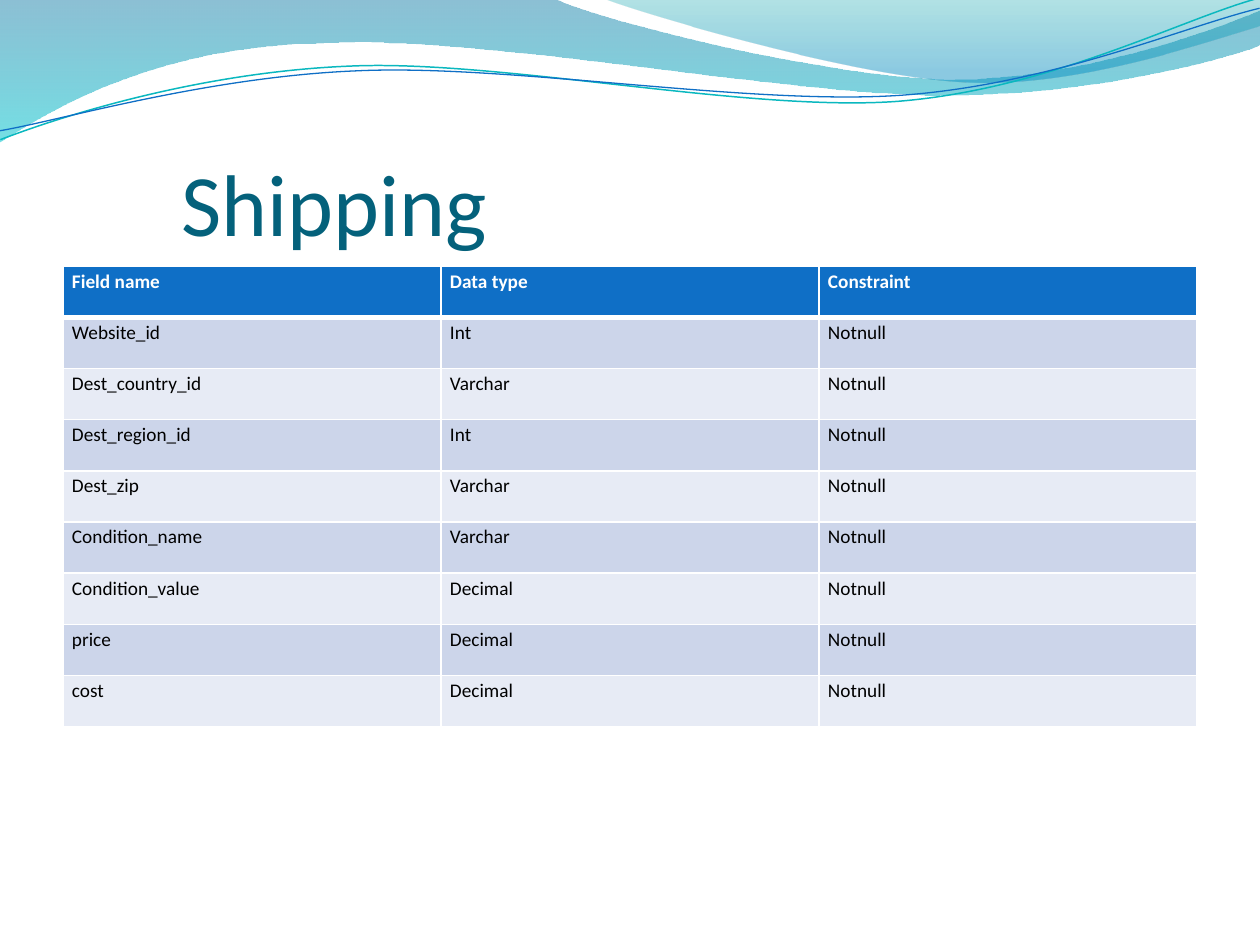
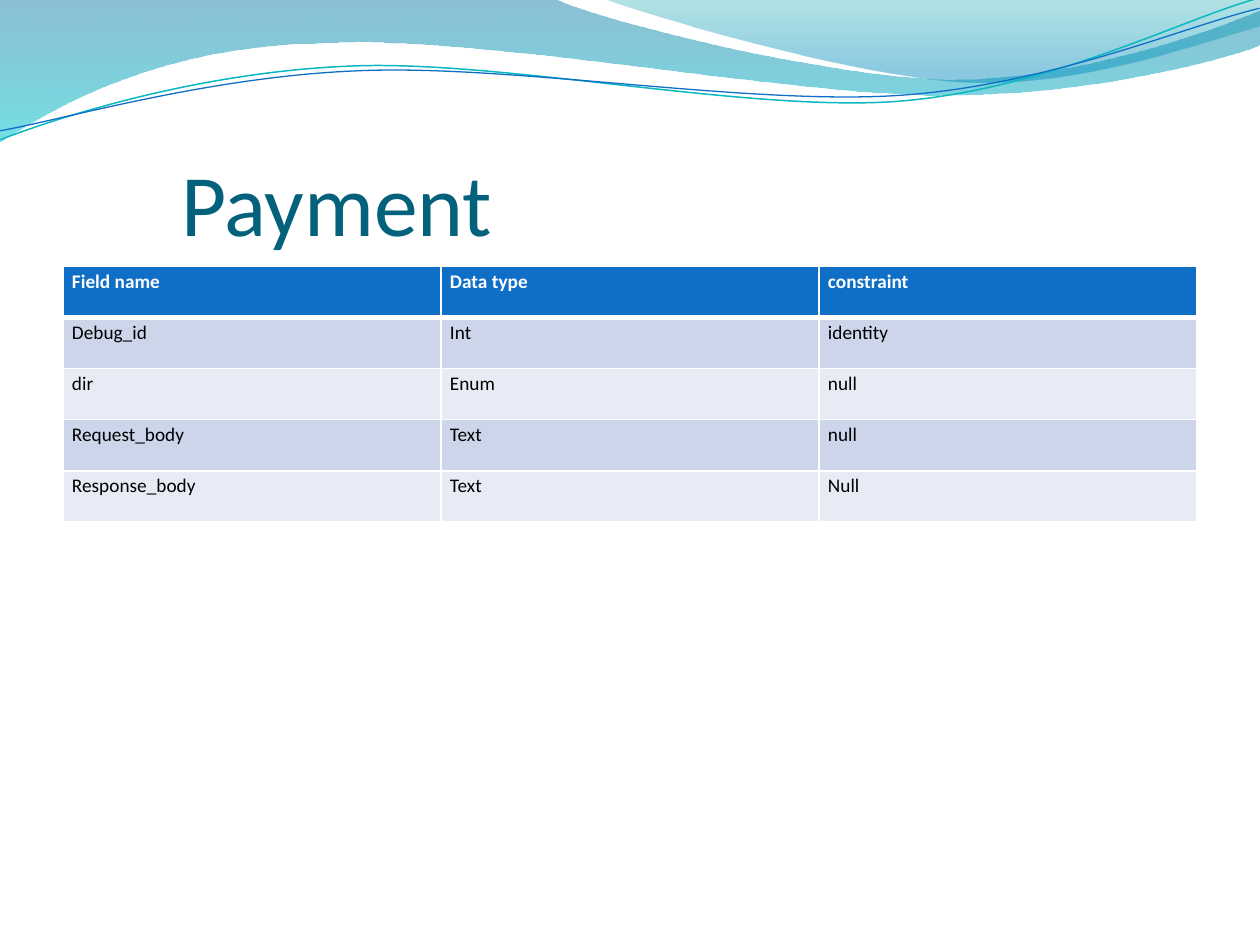
"""Build two table slides that share a wave band."""
import pptx
import pptx.dml.color
import pptx.enum.text
import pptx.oxml.ns
import pptx.util
from lxml import etree

RGB = pptx.dml.color.RGBColor
WHITE = RGB(0xFF, 0xFF, 0xFF)
BLACK = RGB(0x00, 0x00, 0x00)
BLUE = RGB(0x0F, 0x6F, 0xC6)
TEAL = RGB(0x0A, 0xB8, 0xBF)
NAVY = RGB(0x04, 0x61, 0x7B)
DARK = RGB(0xCC, 0xD5, 0xEA)
PALE = RGB(0xE7, 0xEB, 0xF5)

WAVE = [[(0, 0)], [(555, -1)],
        [(600, 21), (837, 79), (955, 79)],
        [(1075, 79), (1207, 33), (1260, 11)],
        [(1261, 45)],
        [(1239, 55), (1096, 96), (940, 95)],
        [(784, 95), (481, 35), (324, 43)],
        [(163, 45), (58, 105), (-1, 142)],
        [(0, 0)]]
SWOOP = [[(604, -1)],
         [(641, 14), (859, 78), (969, 82)],
         [(1079, 87), (1211, 40), (1260, 26)],
         [(1260, 0)], [(604, -1)]]
UPPER = [[(-2, 110)],
         [(58, 90), (199, 52), (350, 53)],
         [(499, 53), (745, 118), (896, 114)],
         [(1049, 109), (1184, 45), (1261, 28)]]
LOWER = [[(-2, 101)],
         [(57, 94), (207, 57), (357, 58)],
         [(509, 58), (750, 112), (902, 108)],
         [(1052, 104), (1188, 52), (1262, 38)]]
TILT = 357.3

WAVE_FILL = [(0, RGB(0x00, 0x74, 0xA1), 45), (1, RGB(0x00, 0xC6, 0xCF), 55)]
SWOOP_FILL = [(0, RGB(0x00, 0xA1, 0xA9), 30), (0.8, RGB(0x00, 0x8B, 0xBF), 45)]

SHIPPING = [
    ("Field name", "Data type", "Constraint"),
    ("Website_id", "Int", "Notnull"),
    ("Dest_country_id", "Varchar", "Notnull"),
    ("Dest_region_id", "Int", "Notnull"),
    ("Dest_zip", "Varchar", "Notnull"),
    ("Condition_name", "Varchar", "Notnull"),
    ("Condition_value", "Decimal", "Notnull"),
    ("price", "Decimal", "Notnull"),
    ("cost", "Decimal", "Notnull"),
]
PAYMENT = [
    ("Field name", "Data type", "constraint"),
    ("Debug_id", "Int", "identity"),
    ("dir", "Enum", "null"),
    ("Request_body", "Text", "null"),
    ("Response_body", "Text", "Null"),
]


def px(num):
    return round(num * 914400 / 126)


def tag(name):
    return pptx.oxml.ns.qn("a:" + name)


def put(item, vals):
    for name, val in vals.items():
        setattr(item, name, val)


class Deck:
    def __init__(self):
        self.prs = pptx.Presentation()
        put(self.prs, {"slide_width": px(1260), "slide_height": px(945)})
        self.slide = None

    def page(self):
        self.slide = self.prs.slides.add_slide(self.prs.slide_layouts[5])

    def curve(self, parts, close):
        spots = [(px(x), px(y)) for part in parts for x, y in part]
        pen = self.slide.shapes.build_freeform(*spots[0], scale=1.0)
        pen.add_line_segments(spots[1:], close=close)
        shape = pen.convert_to_shape()
        shape.shadow.inherit = False
        lines = iter(list(shape._element.iter(tag("lnTo"))))
        for part in parts[1:]:
            group = [next(lines) for _ in part]
            if len(part) == 3:
                bend = etree.Element(tag("cubicBezTo"))
                group[0].addprevious(bend)
                for line in group:
                    bend.append(line[0])
                    line.getparent().remove(line)
        return shape

    def share(self, shape):
        tree = self.prs.slide_master.shapes._spTree
        shape._element.nvSpPr.cNvPr.id = 20 + len(tree)
        tree.append(shape._element)

    def band(self, parts, stops):
        shape = self.curve(parts, True)
        shape.line.fill.background()
        shape.fill.gradient()
        shape.fill.gradient_angle = 270
        for stop, (spot, color, _) in zip(shape.fill.gradient_stops, stops):
            stop.position = spot
            stop.color.rgb = color
        tints = list(shape._element.spPr.iter(tag("srgbClr")))
        for tint, (_, _, alpha) in zip(tints, stops):
            etree.SubElement(tint, tag("alpha"), val=str(alpha * 1000))
        self.share(shape)

    def stroke(self, parts, color, width):
        shape = self.curve(parts, False)
        shape.fill.background()
        shape.line.color.rgb = color
        shape.line.width = pptx.util.Pt(width)
        shape.rotation = TILT
        self.share(shape)

    def font(self, para, size, color, bold=False):
        put(para.font, {"name": "Calibri", "size": pptx.util.Pt(size), "bold": bold})
        para.font.color.rgb = color

    def title(self, text):
        shape = self.slide.shapes.title
        put(shape, {"left": px(63), "top": px(97), "width": px(1134), "height": px(157)})
        frame = shape.text_frame
        put(frame, {"text": text, "word_wrap": True,
                    "auto_size": pptx.enum.text.MSO_AUTO_SIZE.NONE,
                    "vertical_anchor": pptx.enum.text.MSO_ANCHOR.BOTTOM,
                    "margin_left": px(118), "margin_top": px(6),
                    "margin_right": 0, "margin_bottom": 0})
        para = frame.paragraphs[0]
        para.alignment = pptx.enum.text.PP_ALIGN.LEFT
        self.font(para, 50, NAVY)

    def edges(self, cell, row):
        props = cell._tc.get_or_add_tcPr()
        widths = {"L": 1, "R": 1, "T": 3 if row == 1 else 1, "B": 1 if row else 3}
        for side, width in widths.items():
            line = etree.SubElement(props, tag("ln" + side),
                                    w=str(pptx.util.Pt(width)))
            fill = etree.SubElement(line, tag("solidFill"))
            etree.SubElement(fill, tag("srgbClr"), val=str(WHITE))

    def cell(self, cell, text, row):
        self.edges(cell, row)
        cell.fill.solid()
        cell.fill.fore_color.rgb = (DARK if row % 2 else PALE) if row else BLUE
        put(cell, {"text": text, "margin_left": px(9), "margin_right": px(9),
                   "margin_top": 0, "margin_bottom": 0})
        para = cell.text_frame.paragraphs[0]
        para.line_spacing = 1.15
        self.font(para, 11, BLACK if row else WHITE, row == 0)

    def table(self, rows):
        high = px(461) // 9 * len(rows)
        table = self.slide.shapes.add_table(
            len(rows), len(rows[0]), px(63), px(266), px(1134), high).table
        table.horz_banding = False
        for row, texts in enumerate(rows):
            for col, text in enumerate(texts):
                self.cell(table.cell(row, col), text, row)


def main():
    deck = Deck()
    for name, rows in (("Shipping", SHIPPING), ("Payment", PAYMENT)):
        deck.page()
        deck.title(name)
        deck.table(rows)
    deck.band(WAVE, WAVE_FILL)
    deck.band(SWOOP, SWOOP_FILL)
    deck.stroke(UPPER, TEAL, 0.85)
    deck.stroke(LOWER, BLUE, 0.75)
    deck.prs.save("out.pptx")


if __name__ == "__main__":
    main()
